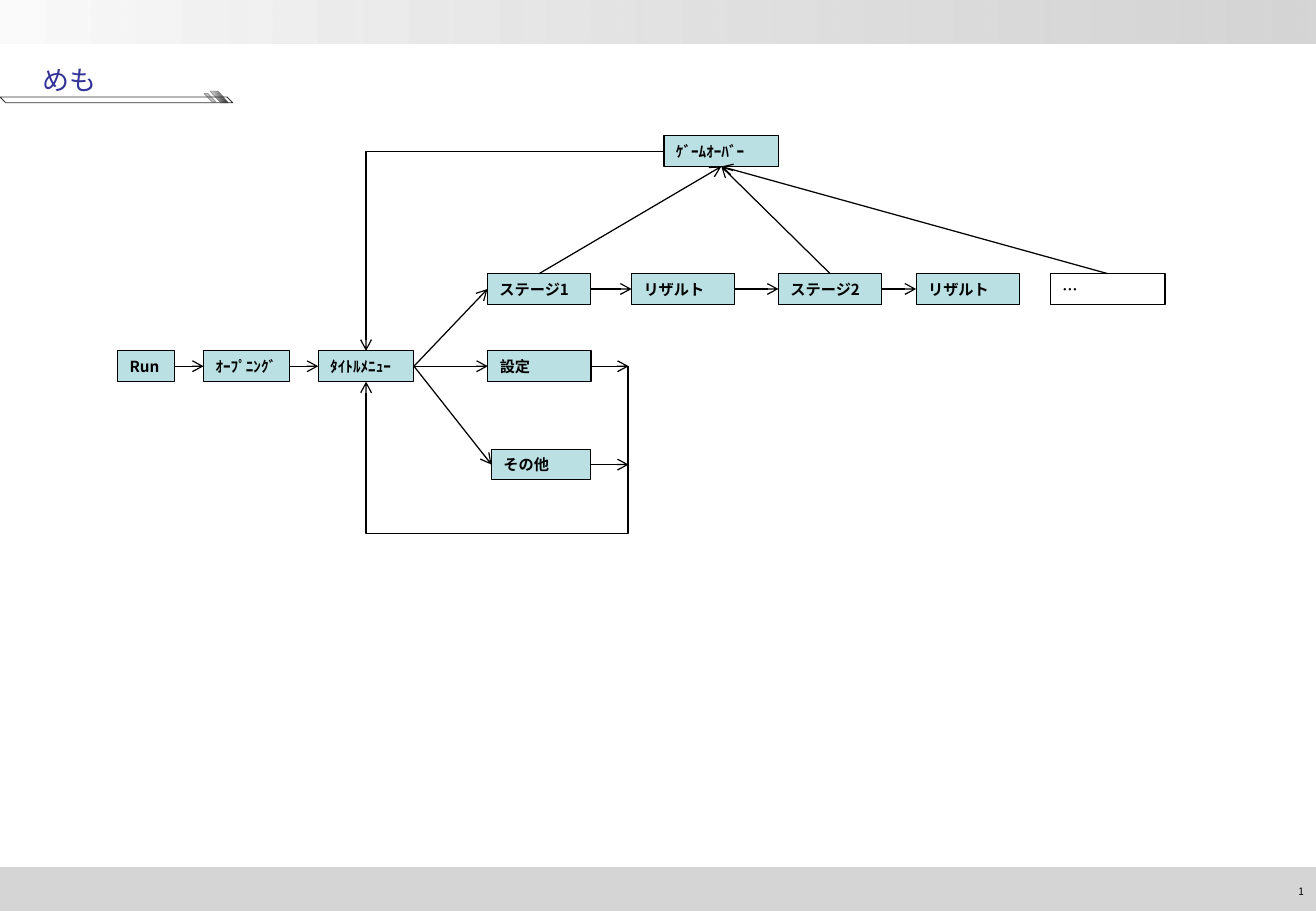
from dataclasses import dataclass
from typing import Any

from lxml.etree import SubElement
from pptx import Presentation
from pptx.dml.color import RGBColor
from pptx.enum.shapes import MSO_CONNECTOR, MSO_SHAPE
from pptx.enum.text import MSO_ANCHOR, PP_ALIGN
from pptx.oxml.ns import qn
from pptx.util import Pt

HEX = {
    "ink": "000000", "box": "BBE0E3", "title": "333399", "band": "C0C0C0",
    "pale": "FAFAFA", "light": "DFDFDF", "dark": "292929",
    "grey": "808080", "mid": "969696", "edge": "333333",
}
FONT = "Noto Sans CJK JP"
WIDE, HIGH = 780.12, 540
BAND, TALL = 26, 18.2
CLEAR = 66
TOP, LEFT, FOOT, RIGHT = range(4)
UPPER, MAIN, LOWER = 162.2, 208, 266.3
RAIL, BASE = 372.7, 316.2


@dataclass
class Box:
    key: str
    text: str
    x: float
    y: float
    w: float
    fill: str | None = "box"


@dataclass
class Arrow:
    """Ends are a box key with a side, or a bare point."""
    start: tuple
    end: tuple


@dataclass
class Slant:
    x: float
    y: float
    w: float
    h: float
    skew: float
    fill: tuple[str, ...]
    line: str
    width: float


BOXES = [
    Box("run", "Run", 69.7, MAIN, 34),
    Box("open", "ｵｰﾌﾟﾆﾝｸﾞ", 120.7, MAIN, 51.2),
    Box("menu", "ﾀｲﾄﾙﾒﾆｭｰ", 188.7, MAIN, 56.7),
    Box("stage1", "ステージ1", 289, UPPER, 61.2),
    Box("set", "設定", 289.2, MAIN, 61.2),
    Box("other", "その他", 291.4, LOWER, 58.8),
    Box("result1", "リザルト", 374.4, UPPER, 61.2),
    Box("stage2", "ステージ2", 461.5, UPPER, 61.2),
    Box("result2", "リザルト", 543.1, UPPER, 61.2),
    Box("more", "…", 622.7, UPPER, 67.9, None),
    Box("over", "ｹﾞｰﾑｵｰﾊﾞｰ", 393.6, 80.5, 68),
]
FLOWS = [("run", "open"), ("open", "menu"), ("menu", "stage1"), ("menu", "set"),
         ("menu", "other"), ("stage1", "result1"), ("result1", "stage2"),
         ("stage2", "result2")]
ARROWS = (
    [Arrow((a, RIGHT), (b, LEFT)) for a, b in FLOWS]
    + [Arrow((a, TOP), ("over", FOOT)) for a in ("stage1", "stage2", "more")]
    + [Arrow((a, RIGHT), (RAIL, y + TALL / 2))
       for a, y in (("set", MAIN), ("other", LOWER))]
)
SLANTS = [
    Slant(124.5, 54, 11, 7, 0.93, ("light", "dark"), "grey", 0.25),
    Slant(121, 55.5, 7, 5, 0.95, ("band",), "mid", 0.5),
    Slant(0, 57.5, 138, 3.5, 0.98, (), "edge", 0.5),
]


def tint(name: str) -> RGBColor:
    return RGBColor.from_string(HEX[name])


def apply(item: Any, form: dict[str, Any]) -> None:
    for key, val in form.items():
        setattr(item, key, val)


def paint(shape: Any, fill: tuple[str, ...]) -> None:
    """Fill with nothing, one colour, or a left-to-right gradient."""
    shape.shadow.inherit = False
    if not fill:
        shape.fill.background()
    elif len(fill) == 1:
        shape.fill.solid()
        shape.fill.fore_color.rgb = tint(fill[0])
    else:
        shape.fill.gradient()
        shape.fill.gradient_angle = 0
        for stop, name in zip(shape.fill.gradient_stops, fill):
            stop.color.rgb = tint(name)


def stroke(shape: Any, name: str, width: float) -> None:
    shape.line.color.rgb = tint(name)
    shape.line.width = Pt(width)


def write(shape: Any, text: str, form: dict[str, Any], color: str,
          align: PP_ALIGN = PP_ALIGN.LEFT) -> None:
    frame = shape.text_frame
    apply(frame, {"word_wrap": True, "vertical_anchor": MSO_ANCHOR.MIDDLE})
    para = frame.paragraphs[0]
    para.alignment = align
    run = para.add_run()
    run.text = text
    apply(run.font, {"name": FONT, **form})
    run.font.color.rgb = tint(color)
    SubElement(run.font._element, qn("a:ea"), typeface=FONT)


def add_band(slide: Any, y: float, fill: tuple[str, ...]) -> None:
    band = slide.shapes.add_shape(MSO_SHAPE.RECTANGLE, 0, Pt(y), Pt(WIDE), Pt(BAND))
    paint(band, fill)
    band.line.fill.background()
    last = list(band._element.spPr.iter(qn("a:srgbClr")))[-1]
    SubElement(last, qn("a:alpha"), val=str(CLEAR * 1000))


def add_label(slide: Any, area: tuple[float, ...], *style: Any) -> None:
    write(slide.shapes.add_textbox(*map(Pt, area)), *style)


def add_box(slide: Any, box: Box) -> Any:
    shape = slide.shapes.add_shape(
        MSO_SHAPE.RECTANGLE, Pt(box.x), Pt(box.y), Pt(box.w), Pt(TALL))
    paint(shape, (box.fill,) if box.fill else ())
    stroke(shape, "ink", 0.75)
    write(shape, box.text, {"size": Pt(9), "bold": True}, "ink")
    return shape


def add_arrow(slide: Any, nodes: dict[str, Any], arrow: Arrow,
              kind: MSO_CONNECTOR = MSO_CONNECTOR.STRAIGHT) -> Any:
    ends = [(0, 0) if end[0] in nodes else tuple(map(Pt, end))
            for end in (arrow.start, arrow.end)]
    link = slide.shapes.add_connector(kind, *ends[0], *ends[1])
    for end, join in ((arrow.start, link.begin_connect), (arrow.end, link.end_connect)):
        if end[0] in nodes:
            join(nodes[end[0]], end[1])
    stroke(link, "ink", 0.75)
    SubElement(link.line._get_or_add_ln(), qn("a:tailEnd"), type="arrow")
    SubElement(link._element.spPr, qn("a:effectLst"))
    return link


def add_elbow(slide: Any, nodes: dict[str, Any], arrow: Arrow,
              preset: str, bends: tuple[int, ...] = ()) -> None:
    link = add_arrow(slide, nodes, arrow, MSO_CONNECTOR.ELBOW)
    geom = link._element.spPr.find(qn("a:prstGeom"))
    geom.set("prst", preset)
    guides = geom.find(qn("a:avLst"))
    for num, bend in enumerate(bends, 1):
        SubElement(guides, qn("a:gd"), name=f"adj{num}", fmla=f"val {bend}")


def add_slant(group: Any, slant: Slant) -> None:
    shape = group.shapes.add_shape(
        MSO_SHAPE.PARALLELOGRAM, *map(Pt, (slant.x, slant.y, slant.w, slant.h)))
    shape.adjustments[0] = slant.skew
    shape._element.spPr.xfrm.set("flipV", "1")
    paint(shape, slant.fill)
    stroke(shape, slant.line, slant.width)


def main() -> None:
    deck = Presentation()
    apply(deck, {"slide_width": Pt(WIDE), "slide_height": Pt(HIGH)})
    slide = deck.slides.add_slide(deck.slide_layouts[6])
    add_band(slide, 0, ("pale", "band"))
    add_band(slide, HIGH - BAND, ("band",))
    add_label(slide, (718.5, 520, 61.5, 16.5), "1", {"size": Pt(6)}, "ink", PP_ALIGN.RIGHT)

    nodes = {box.key: add_box(slide, box) for box in BOXES}
    for arrow in ARROWS:
        add_arrow(slide, nodes, arrow)
    add_elbow(slide, nodes, Arrow(("over", LEFT), ("menu", TOP)), "bentConnector2")
    half = TALL / 2
    drop = round((BASE - MAIN - half) / half * 100000)
    add_elbow(slide, nodes, Arrow((RAIL, MAIN + half), ("menu", FOOT)),
              "bentConnector4", (300, drop))

    add_label(slide, (18, 36, 264, 22.5), "めも", {"size": Pt(16), "name": "Arial"}, "title")
    group = slide.shapes.add_group_shape()
    for slant in SLANTS:
        add_slant(group, slant)
    deck.save("out.pptx")


if __name__ == "__main__":
    main()
